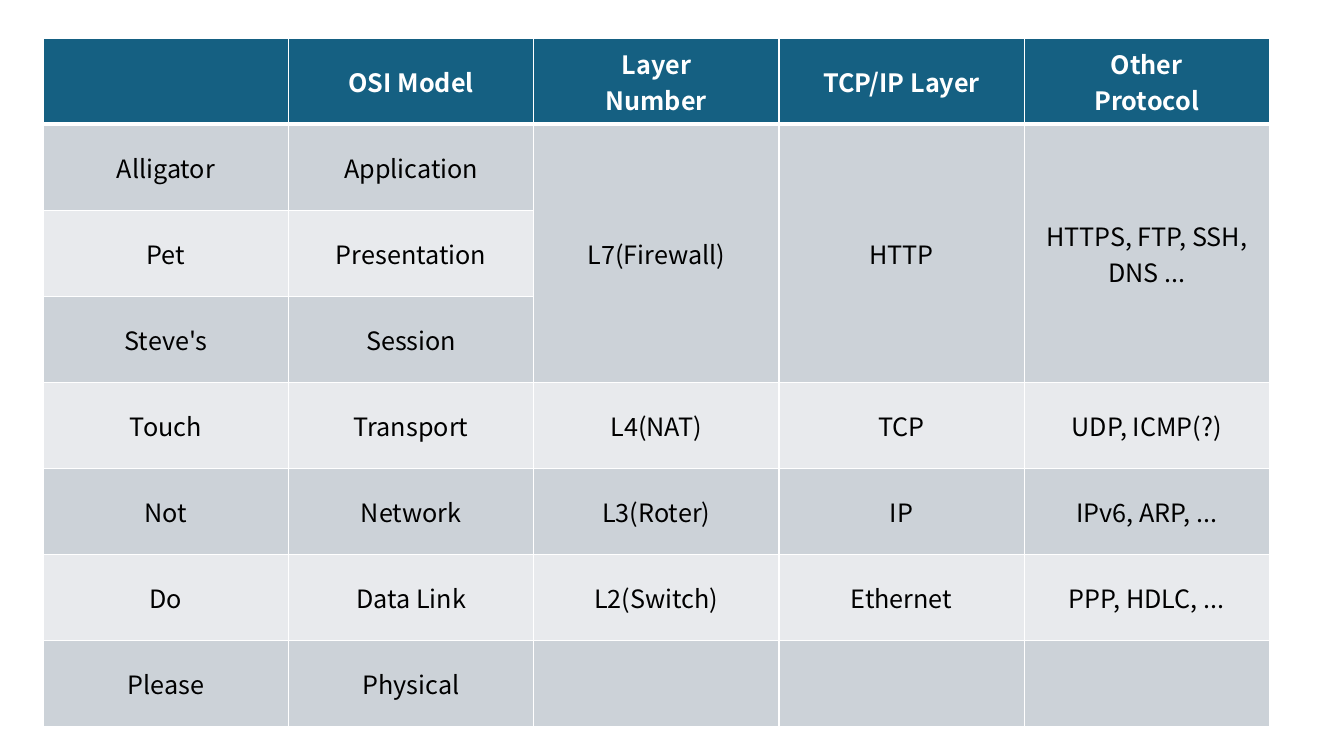
import pptx
import pptx.dml.color
import pptx.enum.text
import pptx.oxml
import pptx.oxml.ns
import pptx.util
from pptx.util import Inches

FONT = "Noto Sans CJK KR"
COLORS = {
    "head": "156082",
    "odd": "CCD2D8",
    "even": "E8EAED",
    "line": "FFFFFF",
    "light": "FFFFFF",
    "dark": "000000",
}
ROWS = [
    ["", "OSI Model", "Layer\nNumber", "TCP/IP Layer", "Other\nProtocol"],
    ["Alligator", "Application", "L7(Firewall)", "HTTP", "HTTPS, FTP, SSH, DNS ..."],
    ["Pet", "Presentation", "", "", ""],
    ["Steve's", "Session", "", "", ""],
    ["Touch", "Transport", "L4(NAT)", "TCP", "UDP, ICMP(?)"],
    ["Not", "Network", "L3(Roter)", "IP", "IPv6, ARP, ..."],
    ["Do", "Data Link", "L2(Switch)", "Ethernet", "PPP, HDLC, ..."],
    ["Please", "Physical", "", "", ""],
]
MERGED = (2, 3, 4)  # columns where one cell spans the top three layers


def color(name):
    return pptx.dml.color.RGBColor.from_string(COLORS[name])


def edge(cell, side, width):
    """Draw one border of a cell; side is L, R, T or B."""
    space = pptx.oxml.ns.nsdecls("a")
    line = pptx.oxml.parse_xml(
        f'<a:ln{side} {space} w="{pptx.util.Pt(width)}"><a:solidFill>'
        f'<a:srgbClr val="{COLORS["line"]}"/></a:solidFill></a:ln{side}>'
    )
    cell._tc.get_or_add_tcPr().append(line)


def style(cell, row):
    head = row == 0
    for side in "LRTB":
        thick = (row, side) in ((0, "B"), (1, "T"))
        edge(cell, side, 3 if thick else 1)
    cell.fill.solid()
    cell.fill.fore_color.rgb = color("head" if head else "odd" if row % 2 else "even")
    cell.vertical_anchor = pptx.enum.text.MSO_ANCHOR.MIDDLE
    for para in cell.text_frame.paragraphs:
        para.alignment = pptx.enum.text.PP_ALIGN.CENTER
        para.font.name = FONT
        para.font.size = pptx.util.Pt(18)
        para.font.bold = head
        para.font.color.rgb = color("light" if head else "dark")


def layers(slide, left, top, width, height):
    """Place the table of network layers in the given box, in inches."""
    count, span = len(ROWS), len(ROWS[0])
    box = [Inches(size) for size in (left, top, width, height)]
    table = slide.shapes.add_table(count, span, *box).table
    for row in table.rows:
        row.height = Inches(height / count)
    for col in table.columns:
        col.width = Inches(width / span)
    for r, texts in enumerate(ROWS):
        for c, text in enumerate(texts):
            cell = table.cell(r, c)
            cell.text = text
            style(cell, r)
    for c in MERGED:
        table.cell(1, c).merge(table.cell(3, c))


def main():
    deck = pptx.Presentation()
    deck.slide_width, deck.slide_height = Inches(13.33), Inches(7.5)
    slide = deck.slides.add_slide(deck.slide_layouts[6])
    layers(slide, 0.43, 0.38, 12.16, 6.83)
    deck.save("out.pptx")


if __name__ == "__main__":
    main()
